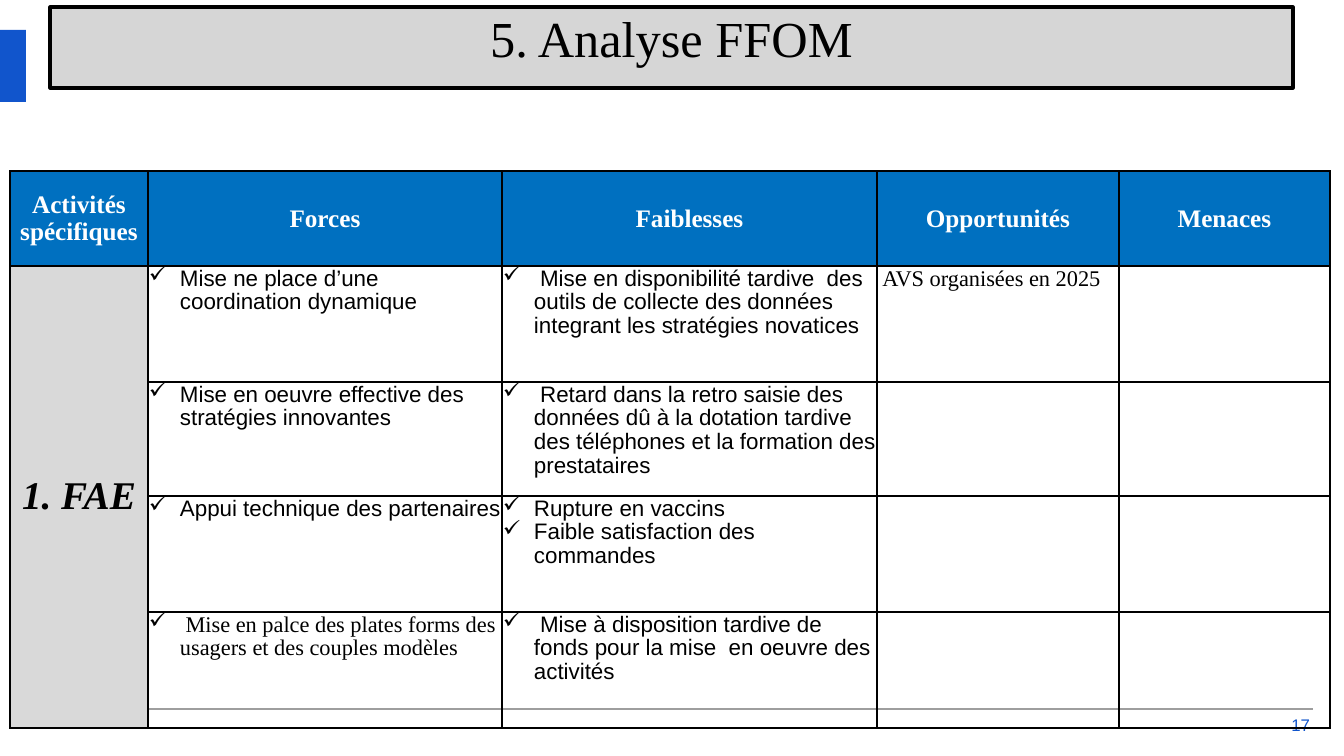
"""Build the FFOM analysis slide with its table of strengths and weaknesses."""
from lxml.etree import SubElement
from pptx import Presentation
from pptx.dml.color import RGBColor
from pptx.enum.shapes import MSO_CONNECTOR, MSO_SHAPE
from pptx.enum.text import MSO_ANCHOR, PP_ALIGN
from pptx.oxml.ns import qn
from pptx.util import Pt

EMU_PER_PX = 914400 / 100.8
SERIF, SANS = "Times New Roman", "Arial"
BLACK, WHITE, BLUE, HEADER_BLUE = "000000", "FFFFFF", "1155CC", "0070C0"
TITLE_GREY, ACTIVITY_GREY, RULE_GREY = "D6D6D6", "D9D9D9", "9E9E9E"

TITLE = "5. Analyse FFOM"
PAGE = "17"
HEADERS = ["Activités spécifiques", "Forces", "Faiblesses", "Opportunités", "Menaces"]
ACTIVITY = "1. FAE"
FORCES = [
    ("Mise ne place d’une coordination dynamique", SANS),
    ("Mise en oeuvre effective des stratégies innovantes", SANS),
    ("Appui technique des partenaires", SANS),
    (" Mise en palce des plates forms des usagers et des couples modèles", SERIF),
]
FAIBLESSES = [
    [" Mise en disponibilité tardive  des outils de collecte des données "
     "integrant les stratégies novatices"],
    [" Retard dans la retro saisie des données dû à la dotation tardive "
     "des téléphones et la formation des prestataires"],
    ["Rupture en vaccins", "Faible satisfaction des commandes"],
    [" Mise à disposition tardive de fonds pour la mise  en oeuvre des activités"],
]
OPPORTUNITY = " AVS organisées en 2025"
COLUMN_WIDTHS = [138, 354, 375, 242, 211]
ROW_HEIGHTS = [95, 116, 114, 116, 116]


def px(length):
    return round(length * EMU_PER_PX)


def box(*lengths):
    return [px(length) for length in lengths]


def color(hex_string):
    return RGBColor.from_string(hex_string)


def paint(target, hex_string):
    target.fill.solid()
    target.fill.fore_color.rgb = color(hex_string)


def write(frame, *lines, font=SANS, size=16, ink=BLACK, bold=False, italic=False,
          align=PP_ALIGN.LEFT, bullet=None, spacing=0.96):
    for index, line in enumerate(lines):
        paragraph = frame.add_paragraph() if index else frame.paragraphs[0]
        if bullet:
            properties = paragraph._p.get_or_add_pPr()
            properties.set("marL", str(px(31)))
            properties.set("indent", str(-px(31)))
            bullet_color = SubElement(properties, qn("a:buClr"))
            SubElement(bullet_color, qn("a:srgbClr"), val=ink)
            SubElement(properties, qn("a:buChar"), char=bullet)
        paragraph.alignment = align
        paragraph.line_spacing = spacing
        run = paragraph.add_run()
        run.text = line
        run.font.name, run.font.size = font, Pt(size)
        run.font.bold, run.font.italic = bold, italic
        run.font.color.rgb = color(ink)


def clear_margins(frame):
    frame.word_wrap = True
    frame.margin_left = frame.margin_right = frame.margin_top = frame.margin_bottom = 0


def style_cell(cell):
    cell.margin_left = cell.margin_right = cell.margin_top = px(1)
    cell.margin_bottom = 0
    for side in ("lnL", "lnR", "lnT", "lnB"):
        border = SubElement(cell._tc.get_or_add_tcPr(), qn(f"a:{side}"), w=str(Pt(1)))
        SubElement(SubElement(border, qn("a:solidFill")), qn("a:srgbClr"), val=BLACK)
    cell.fill.background()


def add_title(slide):
    title = slide.shapes.title
    title.left, title.top, title.width, title.height = box(50, 7, 1243, 81)
    paint(title, TITLE_GREY)
    title.line.color.rgb = color(BLACK)
    title.line.width = Pt(2.25)
    clear_margins(title.text_frame)
    title.text_frame.vertical_anchor = MSO_ANCHOR.TOP
    write(title.text_frame, TITLE, font=SERIF, size=36, align=PP_ALIGN.CENTER, spacing=1.0)


def add_decor(slide):
    accent = slide.shapes.add_shape(MSO_SHAPE.RECTANGLE, *box(0, 30, 26, 72))
    accent.shadow.inherit = False
    paint(accent, BLUE)
    accent.line.fill.background()

    page = slide.shapes.add_textbox(*box(1285, 716, 25, 18)).text_frame
    clear_margins(page)
    page.vertical_anchor = MSO_ANCHOR.MIDDLE
    write(page, PAGE, size=12, ink=BLUE, align=PP_ALIGN.RIGHT, spacing=1.0)

    rule = slide.shapes.add_connector(MSO_CONNECTOR.STRAIGHT, *box(29, 709, 1313, 709))
    rule.line.color.rgb = color(RULE_GREY)
    rule.line.width = Pt(1)
    SubElement(rule._element.spPr, qn("a:effectLst"))


def add_ffom_table(slide):
    table = slide.shapes.add_table(
        len(ROW_HEIGHTS), len(COLUMN_WIDTHS),
        *box(10, 171, sum(COLUMN_WIDTHS), sum(ROW_HEIGHTS))).table
    table.first_row = table.horz_banding = False
    for column, width in zip(table.columns, COLUMN_WIDTHS):
        column.width = px(width)
    for row, height in zip(table.rows, ROW_HEIGHTS):
        row.height = px(height)
    for cell in table.iter_cells():
        style_cell(cell)

    for index, header in enumerate(HEADERS):
        cell = table.cell(0, index)
        paint(cell, HEADER_BLUE)
        cell.vertical_anchor = MSO_ANCHOR.MIDDLE
        write(cell.text_frame, header, font=SERIF, size=18, ink=WHITE, bold=True,
              align=PP_ALIGN.CENTER)

    activity = table.cell(1, 0)
    activity.merge(table.cell(len(ROW_HEIGHTS) - 1, 0))
    paint(activity, ACTIVITY_GREY)
    activity.vertical_anchor = MSO_ANCHOR.MIDDLE
    write(activity.text_frame, ACTIVITY, font=SERIF, size=28, bold=True, italic=True,
          align=PP_ALIGN.CENTER)

    for index, ((force, font), weaknesses) in enumerate(zip(FORCES, FAIBLESSES), start=1):
        write(table.cell(index, 1).text_frame, force, font=font, bullet="✓")
        write(table.cell(index, 2).text_frame, *weaknesses, bullet="✓")
    write(table.cell(1, 3).text_frame, OPPORTUNITY, font=SERIF)


def main():
    presentation = Presentation()
    presentation.slide_width, presentation.slide_height = box(1344, 756)
    slide = presentation.slides.add_slide(presentation.slide_layouts[5])
    add_title(slide)
    add_decor(slide)
    add_ffom_table(slide)
    presentation.save("out.pptx")


if __name__ == "__main__":
    main()
